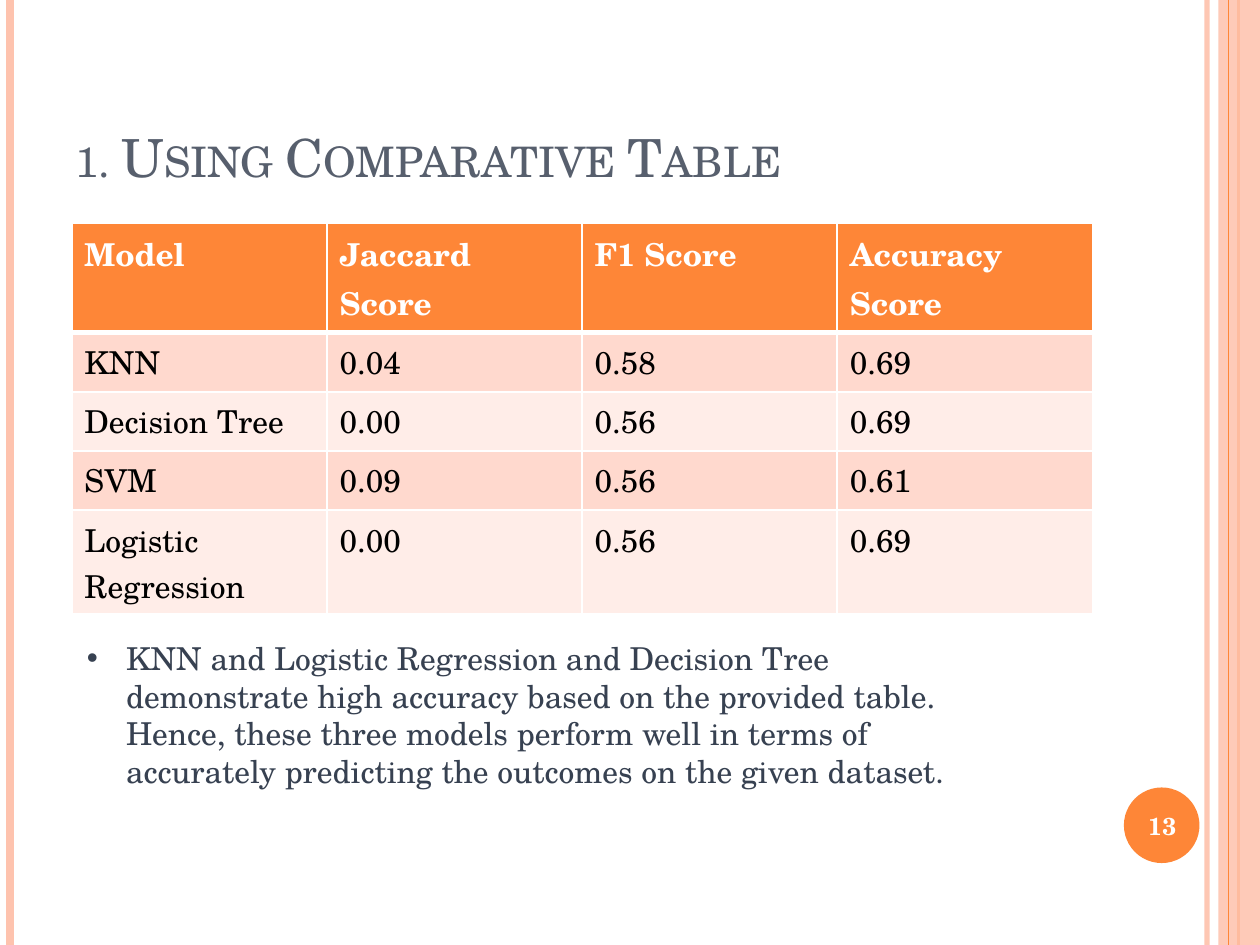
from dataclasses import dataclass

from lxml.etree import SubElement
from pptx import Presentation
from pptx.dml.color import RGBColor
from pptx.enum.shapes import MSO_CONNECTOR, MSO_SHAPE
from pptx.enum.text import MSO_ANCHOR, MSO_AUTO_SIZE, PP_ALIGN
from pptx.oxml.ns import qn
from pptx.util import Inches, Pt


@dataclass(frozen=True)
class Theme:
    font: str = "TeX Gyre Schola"
    stop_font: str = "Calibri"
    accent: str = "FE8637"
    pale: str = "FEC3AE"
    bands: tuple = ("FFD9CE", "FFEDE8")
    title: str = "575F6D"
    body: str = "374151"
    black: str = "000000"
    white: str = "FFFFFF"
    title_size: int = 30
    text_size: int = 18
    number_size: int = 14


THEME = Theme()
HEADER = ("Model", "Jaccard Score", "F1 Score", "Accuracy Score")
SCORES = (
    ("KNN", "0.04", "0.58", "0.69"),
    ("Decision Tree", "0.00", "0.56", "0.69"),
    ("SVM", "0.09", "0.56", "0.61"),
    ("Logistic Regression", "0.00", "0.56", "0.69"),
)
ROW_HEIGHTS = (0.87, 0.47, 0.47, 0.47, 0.82)
FINDING = (
    "KNN and Logistic Regression and Decision Tree demonstrate high accuracy "
    "based on the provided table. Hence, these three models perform well in "
    "terms of accurately predicting the outcomes on the given dataset"
)


def rgb(color):
    return RGBColor.from_string(color)


def place(shape, box):
    shape.left, shape.top, shape.width, shape.height = map(Inches, box)


def style(span, size, color, bold=False, font=THEME.font):
    span.font.name = font
    span.font.size = Pt(size)
    span.font.bold = bold
    span.font.color.rgb = rgb(color)


def set_alpha(properties, percent):
    color = properties.find(".//" + qn("a:srgbClr"))
    SubElement(color, qn("a:alpha")).set("val", str(percent * 1000))


def add_rule(page, x, height, color, weight, opacity=100):
    """Draw a vertical line down the page."""
    rule = page.shapes.add_connector(
        MSO_CONNECTOR.STRAIGHT, Inches(x), 0, Inches(x), Inches(height))
    rule.line.color.rgb = rgb(color)
    rule.line.width = Pt(weight)
    if opacity < 100:
        set_alpha(rule._element.spPr, opacity)
    SubElement(rule._element.spPr, qn("a:effectLst"))


def add_solid(page, preset, box, color):
    shape = page.shapes.add_shape(preset, *map(Inches, box))
    shape.shadow.inherit = False
    shape.fill.solid()
    shape.fill.fore_color.rgb = rgb(color)
    shape.line.fill.background()
    return shape


def add_side_stripes(page, box):
    left, top, width, height = box
    right = left + width
    add_rule(page, right - 0.42, height, THEME.pale, 3, 93)
    add_rule(page, left + 0.08, height, THEME.pale, 4.5)
    add_rule(page, right - 0.17, height, THEME.accent, 1.5)
    band = add_solid(page, MSO_SHAPE.RECTANGLE,
                     (right - 0.33, top, 0.33, height), THEME.pale)
    set_alpha(band._element.spPr, 87)
    add_rule(page, right - 0.25, height, THEME.accent, 0.75)


def add_page_number(page, box, number):
    left, top, width, height = box
    add_solid(page, MSO_SHAPE.OVAL, box, THEME.accent)
    label = page.shapes.add_textbox(
        *map(Inches, (left - 0.03, top + 0.02, width + 0.07, height - 0.03)))
    frame = label.text_frame
    frame.word_wrap = True
    frame.vertical_anchor = MSO_ANCHOR.MIDDLE
    frame.text = number
    para = frame.paragraphs[0]
    para.alignment = PP_ALIGN.CENTER
    style(para.runs[0], THEME.number_size, THEME.white, bold=True)


def fill_title(page, box, text):
    title = page.shapes.title
    place(title, box)
    frame = title.text_frame
    frame.text = text
    frame.vertical_anchor = MSO_ANCHOR.BOTTOM
    para = frame.paragraphs[0]
    para.alignment = PP_ALIGN.LEFT
    style(para.runs[0], THEME.title_size, THEME.title)
    para.runs[0].font._element.set("cap", "small")


def set_borders(cell, bottom):
    properties = cell._tc.get_or_add_tcPr()
    weights = {"a:lnL": 1, "a:lnR": 1, "a:lnT": 1, "a:lnB": bottom}
    for position, (tag, weight) in enumerate(weights.items()):
        line = properties.makeelement(qn(tag), {"w": str(Pt(weight))})
        fill = SubElement(line, qn("a:solidFill"))
        SubElement(fill, qn("a:srgbClr")).set("val", THEME.white)
        properties.insert(position, line)


def add_score_table(page, box):
    rows = (HEADER,) + SCORES
    table = page.shapes.add_table(
        len(rows), len(HEADER), *map(Inches, box)).table
    for column in table.columns:
        column.width = Inches(box[2] / len(HEADER))
    for index, values in enumerate(rows):
        is_header = index == 0
        table.rows[index].height = Inches(ROW_HEIGHTS[index])
        for column, value in enumerate(values):
            cell = table.cell(index, column)
            cell.text = value
            cell.fill.solid()
            cell.fill.fore_color.rgb = rgb(
                THEME.accent if is_header else THEME.bands[(index - 1) % 2])
            set_borders(cell, bottom=3 if is_header else 1)
            style(cell.text_frame.paragraphs[0].runs[0], THEME.text_size,
                  THEME.white if is_header else THEME.black, is_header)


def fill_finding(page, box, text):
    body = page.placeholders[1]
    place(body, box)
    frame = body.text_frame
    frame.text = text
    frame.word_wrap = True
    frame.auto_size = MSO_AUTO_SIZE.SHAPE_TO_FIT_TEXT
    para = frame.paragraphs[0]
    para.space_before = Pt(0)
    style(para.runs[0], THEME.text_size, THEME.body)
    stop = para.add_run()
    stop.text = "."
    style(stop, THEME.text_size, THEME.body, font=THEME.stop_font)
    properties = para._p.get_or_add_pPr()
    properties.set("marL", str(Inches(0.31)))
    properties.set("indent", str(-Inches(0.31)))
    SubElement(properties, qn("a:buFont")).set("typeface", "Arial")
    SubElement(properties, qn("a:buChar")).set("char", "•")


def main():
    deck = Presentation()
    deck.slide_width, deck.slide_height = Inches(10), Inches(7.5)
    page = deck.slides.add_slide(deck.slide_layouts[1])
    add_side_stripes(page, (0, 0, 10, 7.5))
    fill_title(page, (0.5, 0.29, 8.17, 1.25), "1. Using Comparative Table")
    add_score_table(page, (0.57, 1.77, 8.1, sum(ROW_HEIGHTS)))
    add_page_number(page, (8.92, 6.25, 0.6, 0.6), "13")
    fill_finding(page, (0.59, 5.02, 7.58, 1.31), FINDING)
    deck.save("out.pptx")


if __name__ == "__main__":
    main()
